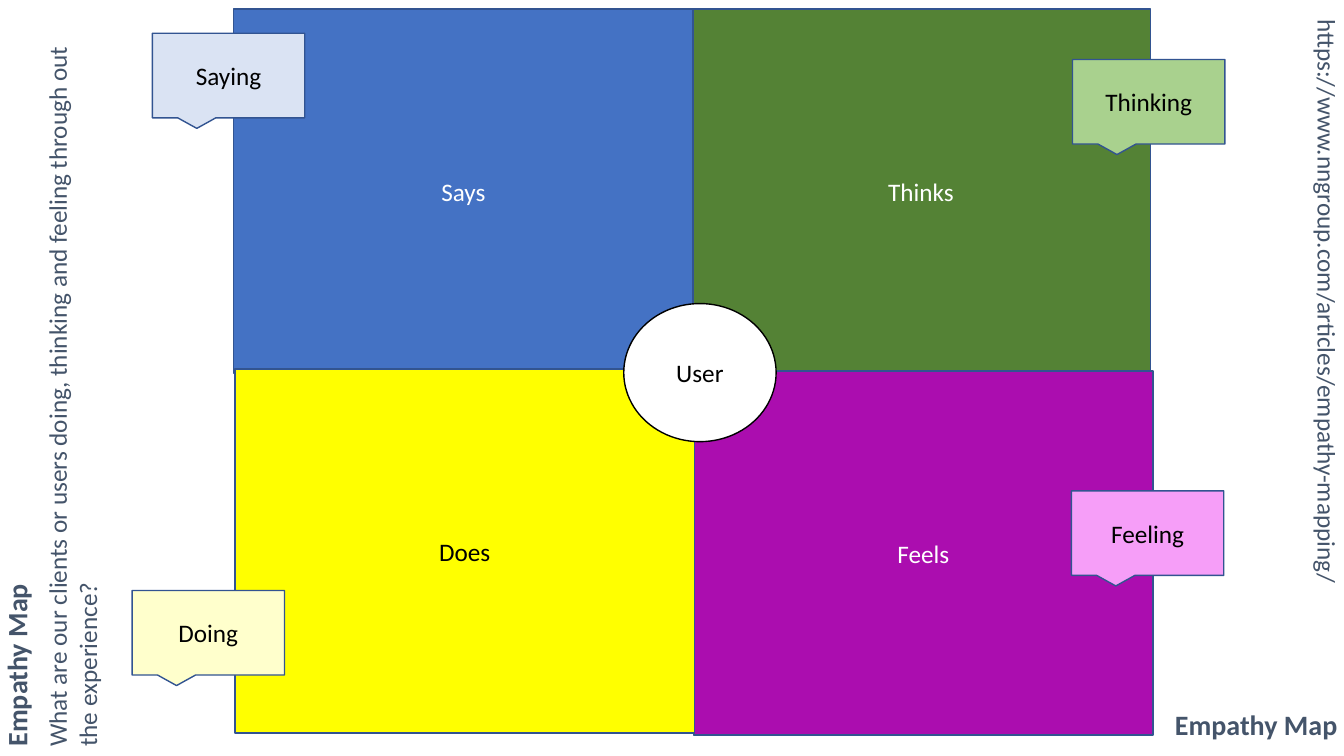
from pptx import Presentation
from pptx import util as u
from pptx.dml.color import RGBColor
from pptx.enum import shapes, text


def color(hex_code):
    return RGBColor.from_string(hex_code)


class EmpathyMap:
    FONT = "Calibri"
    SLATE, NAVY, BLACK, WHITE = "44546A", "325491", "000000", "FFFFFF"

    def __init__(self, page):
        self.page = page

    def set_words(self, frame, words, size, ink, bold=False):
        frame.word_wrap = True
        para = frame.paragraphs[0]
        para.text = words
        para.font.name = self.FONT
        para.font.size = u.Pt(size)
        para.font.bold = bold
        para.font.color.rgb = color(ink)
        return para

    def label(self, words, left, top, width, height, turn=0, size=18, bold=False):
        box = self.page.shapes.add_textbox(*map(u.Cm, (left, top, width, height)))
        box.rotation = turn
        self.set_words(box.text_frame, words, size, self.SLATE, bold)
        box.text_frame.auto_size = text.MSO_AUTO_SIZE.SHAPE_TO_FIT_TEXT

    def heading(self, left, top, turn=0):
        self.label("Empathy Map", left, top, 6.22, 1.12, turn, size=20, bold=True)

    def shape(self, kind, words, left, top, width, height, fill, ink, line=NAVY):
        shape = self.page.shapes.add_shape(kind, *map(u.Cm, (left, top, width, height)))
        shape.shadow.inherit = False
        shape.fill.solid()
        shape.fill.fore_color.rgb = color(fill)
        shape.line.color.rgb = color(line)
        shape.line.width = u.Pt(1)
        shape.text_frame.vertical_anchor = text.MSO_ANCHOR.MIDDLE
        para = self.set_words(shape.text_frame, words, 18, ink)
        para.alignment = text.PP_ALIGN.CENTER

    def quadrant(self, words, left, top, fill, ink=WHITE):
        self.shape(shapes.MSO_SHAPE.RECTANGLE, words, left, top, 11.58, 9.17, fill, ink)

    def user(self, words, left, top):
        self.shape(shapes.MSO_SHAPE.OVAL, words, left, top, 3.84, 3.48,
                   self.WHITE, self.BLACK, line=self.BLACK)

    def callout(self, words, left, top, fill):
        self.shape(shapes.MSO_SHAPE.RECTANGULAR_CALLOUT, words, left, top,
                   3.84, 2.13, fill, self.BLACK)


def main():
    deck = Presentation()
    deck.slide_width, deck.slide_height = u.Cm(33.87), u.Cm(19.05)
    chart = EmpathyMap(deck.slides.add_slide(deck.slide_layouts[6]))

    chart.heading(-2.69, 15.39, turn=270)
    chart.label("What are our clients or users doing, thinking and feeling "
                "through out the experience?", -7.7, 8.64, 19.05, 1.8, turn=270)
    chart.heading(29.36, 17.7)
    chart.label("https://www.nngroup.com/articles/empathy-mapping/",
                23.93, 9.25, 19.05, 1.02, turn=90)

    chart.quadrant("Thinks", 17.42, 0.23, "548235")
    chart.quadrant("Feels", 17.48, 9.35, "AB0DAF")
    chart.quadrant("Says", 5.89, 0.23, "4472C4")
    chart.quadrant("Does", 5.92, 9.3, "FFFF00", ink=chart.BLACK)
    chart.user("User", 15.72, 7.65)

    for words, left, top, fill in (
        ("Saying", 3.84, 0.84, "DAE3F3"),
        ("Thinking", 27.03, 1.5, "A9D18E"),
        ("Feeling", 27, 12.37, "F69EF8"),
        ("Doing", 3.33, 14.88, "FFFFCC"),
    ):
        chart.callout(words, left, top, fill)

    deck.save("out.pptx")


if __name__ == "__main__":
    main()
